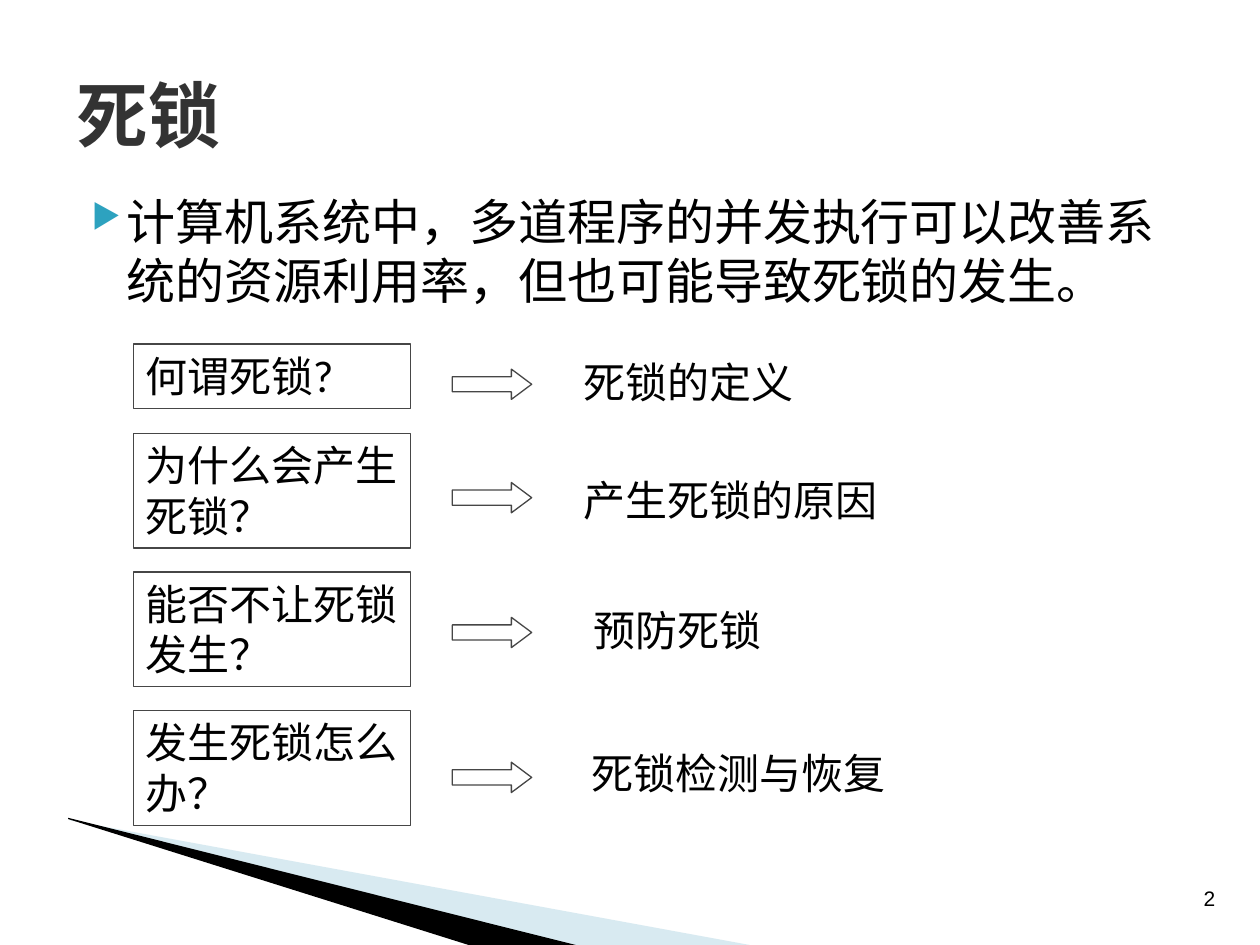
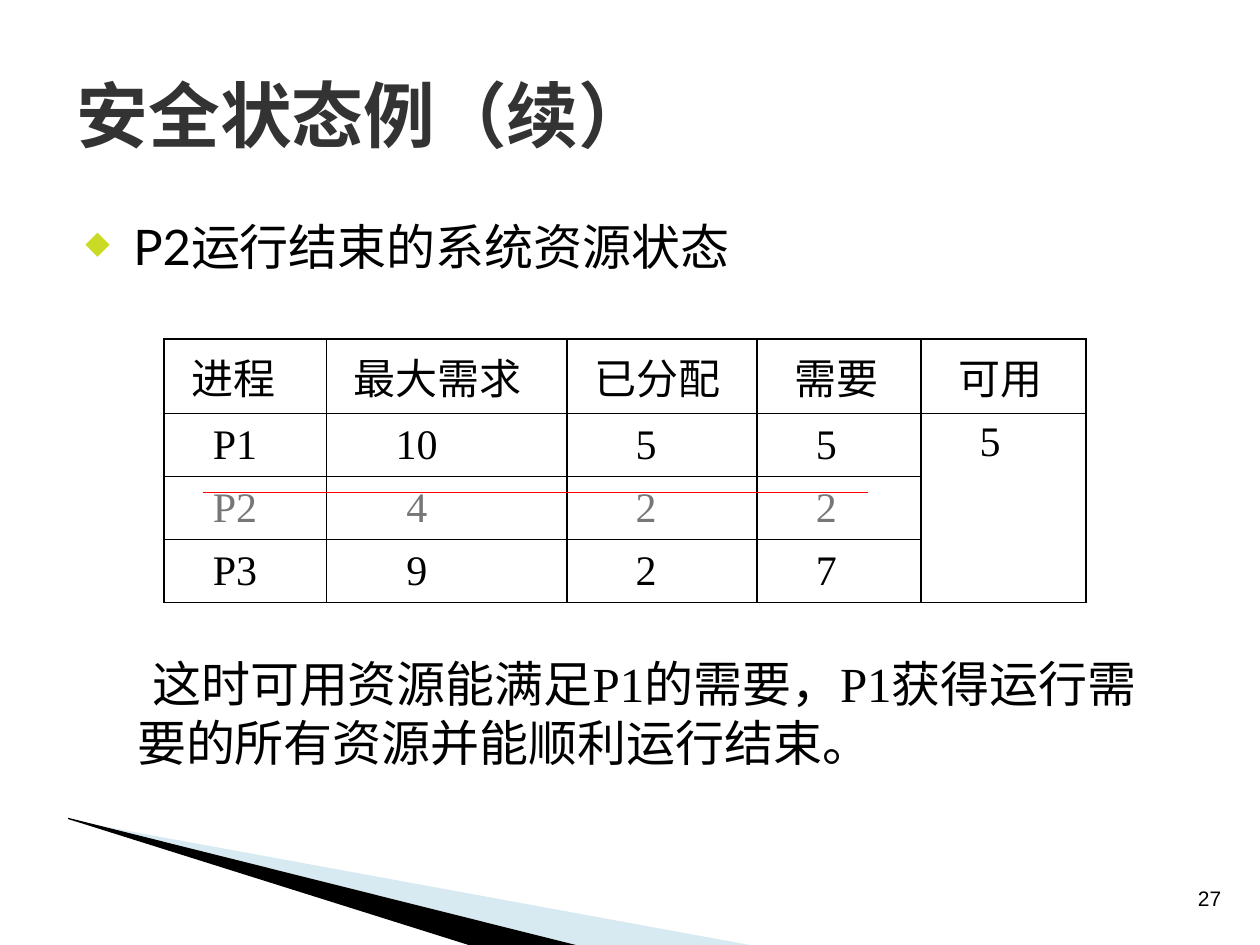
from pptx import Presentation
from pptx import util as u
from pptx.dml.color import RGBColor
from pptx.enum import shapes, text
from pptx.oxml import parse_xml
from pptx.oxml.ns import nsdecls, qn
from lxml import etree

BLACK = RGBColor(0, 0, 0)
DARK = RGBColor(0x33, 0x33, 0x33)
EDGE = RGBColor(0x46, 0x46, 0x46)
GREY = RGBColor(0x77, 0x77, 0x77)
PALE = RGBColor(0x9F, 0xCB, 0xDC)
TEAL = RGBColor(0x2D, 0xA2, 0xBF)
LIME = RGBColor(0xCA, 0xDB, 0x25)
RED = RGBColor(0xFF, 0, 0)
SANS, SERIF, HAN, PLAIN = "Lato", "Times New Roman", "Noto Sans CJK SC", "Arial"

# Points in hundredths of an inch, then colour and opacity in percent
WEDGES = [
    ([(55, 651), (595, 750), (456, 750), (55, 650)], PALE, 40),
    ([(54, 649), (457, 750), (372, 750), (54, 650)], BLACK, 100),
]

INTRO = "计算机系统中，多道程序的并发执行可以改善系统的资源利用率，但也可能导致死锁的发生。"
# Question, box top, box height, arrow top, answer, answer left, answer top
PAIRS = [
    ("何谓死锁?", 2.73, 0.51, 2.93, "死锁的定义", 4.53, 2.78),
    ("为什么会产生死锁？", 3.44, 0.91, 3.83, "产生死锁的原因", 4.53, 3.72),
    ("能否不让死锁发生？", 4.54, 0.91, 4.9, "预防死锁", 4.61, 4.75),
    ("发生死锁怎么办？", 5.64, 0.91, 6.05, "死锁检测与恢复", 4.6, 5.88),
]

STATE = "P2运行结束的系统资源状态"
NOTE = "这时可用资源能满足P1的需要，P1获得运行需要的所有资源并能顺利运行结束。"
GRID = [
    ["进程", "最大需求", "已分配", "需要", "可用"],
    ["P1", "10", "5", "5", "5"],
    ["P2", "4", "2", "2", ""],
    ["P3", "9", "2", "7", ""],
]
WIDTHS = [1.29, 1.91, 1.51, 1.3, 1.31]
HEIGHTS = [0.59, 0.5, 0.5, 0.5]
HEADS = [0.22, 0.22, 0.22, 0.3, 0.3]     # where header text starts in its cell
MIDS = [0.56, 0.72, 0.63, 0.55, 0.55]    # centre of the values in each column
DIGIT = 0.17                             # width of one digit
DONE = 2                                 # row of the finished process


def write(frame, words, size, font=SANS, east=SANS, color=BLACK, bold=False):
    para = frame.paragraphs[0]
    para.alignment = text.PP_ALIGN.LEFT
    run = para.add_run()
    run.text = words
    run.font.size = u.Pt(size)
    run.font.name = font
    run.font.bold = bold
    run.font.color.rgb = color
    face = etree.SubElement(run.font._element, qn("a:ea"))
    face.set("typeface", east)
    return para


def label(slide, box, words, size, **style):
    shape = slide.shapes.add_textbox(*map(u.Inches, box))
    shape.text_frame.word_wrap = True
    return shape.text_frame, write(shape.text_frame, words, size, **style)


def indent(para, left, first, mark=None, color=None, size=100):
    """Set the indents and, with a mark, the bullet."""
    props = para._p.get_or_add_pPr()
    props.set("marL", str(u.Inches(left)))
    props.set("indent", str(u.Inches(first)))
    if mark:
        tint = etree.SubElement(props, qn("a:buClr"))
        etree.SubElement(tint, qn("a:srgbClr")).set("val", str(color))
        etree.SubElement(props, qn("a:buSzPct")).set("val", str(size * 1000))
        etree.SubElement(props, qn("a:buChar")).set("char", mark)


def start(deck, title, page):
    """Add a slide with its wedges, page number and title."""
    slide = deck.slides.add_slide(deck.slide_layouts[6])
    for (first, *rest), color, alpha in WEDGES:
        path = slide.shapes.build_freeform(*first, scale=u.Inches(0.01))
        path.add_line_segments(rest)
        wedge = path.convert_to_shape()
        wedge.shadow.inherit = False
        wedge.line.fill.background()
        wedge.fill.solid()
        wedge.fill.fore_color.rgb = color
        if alpha < 100:
            tint = wedge._element.spPr.find(".//" + qn("a:srgbClr"))
            etree.SubElement(tint, qn("a:alpha")).set("val", str(alpha * 1000))
    frame, para = label(slide, (9.4, 6.98, 0.4, 0.3), page, 12, font=PLAIN)
    frame.margin_left = frame.margin_right = 0
    frame.vertical_anchor = text.MSO_ANCHOR.MIDDLE
    para.alignment = text.PP_ALIGN.CENTER
    frame, _ = label(slide, (0.51, 0.28, 9, 1.25), title, 41,
                     font=HAN, east=HAN, color=DARK, bold=True)
    frame.vertical_anchor = text.MSO_ANCHOR.MIDDLE
    return slide


def outline(slide, kind, box):
    shape = slide.shapes.add_shape(kind, *map(u.Inches, box))
    shape.shadow.inherit = False
    shape.fill.background()
    shape.line.color.rgb = EDGE
    shape.line.width = u.Pt(0.75)
    return shape


def border(cell):
    props = cell._tc.get_or_add_tcPr()
    for i, side in enumerate(("lnL", "lnR", "lnT", "lnB")):
        props.insert(i, parse_xml(
            f'<a:{side} {nsdecls("a")} w="12700"><a:solidFill>'
            f'<a:srgbClr val="{BLACK}"/></a:solidFill></a:{side}>'))


def ask(deck):
    slide = start(deck, "死锁", "2")
    _, para = label(slide, (0.51, 1.47, 9, 1.26), INTRO, 28, font=SERIF)
    indent(para, 0.4, -0.28, "▶", TEAL, 68)
    for query, top, high, mid, reply, left, level in PAIRS:
        box = outline(slide, shapes.MSO_SHAPE.RECTANGLE, (1.06, top, 2.2, high))
        frame = box.text_frame
        frame.word_wrap = True
        frame.margin_right = u.Inches(0.05)
        frame.vertical_anchor = text.MSO_ANCHOR.TOP
        write(frame, query, 24)
        arrow = outline(slide, shapes.MSO_SHAPE.RIGHT_ARROW, (3.59, mid, 0.63, 0.24))
        arrow.adjustments[1] = 0.67
        label(slide, (left, level, 3, 0.5), reply, 24)


def show(deck):
    slide = start(deck, "安全状态例（续）", "27")
    _, para = label(slide, (0.99, 5.14, 8.45, 1.35), NOTE, 28, font=SERIF)
    indent(para, 0, 0.12)
    _, para = label(slide, (0.58, 1.67, 8.5, 0.63), STATE, 28)
    indent(para, 0.38, -0.38, "◆", LIME, 65)

    size = map(u.Inches, (1.3, 2.69, sum(WIDTHS), sum(HEIGHTS)))
    table = slide.shapes.add_table(len(GRID), len(WIDTHS), *size).table
    table.first_row = table.horz_banding = False
    for col, wide in zip(table.columns, WIDTHS):
        col.width = u.Inches(wide)
    for row, high in zip(table.rows, HEIGHTS):
        row.height = u.Inches(high)
    table.cell(1, 4).merge(table.cell(3, 4))
    for r, row in enumerate(GRID):
        for c, words in enumerate(row):
            cell = table.cell(r, c)
            cell.fill.background()
            border(cell)
            if not words:
                continue
            left = MIDS[c] - DIGIT * len(words) / 2 if r else HEADS[c]
            cell.margin_left = u.Inches(left)
            cell.margin_right = 0
            if not cell.is_merge_origin:
                cell.vertical_anchor = text.MSO_ANCHOR.MIDDLE
            write(cell.text_frame, words, 24, font=SERIF, east=HAN,
                  color=GREY if r == DONE else BLACK)

    strike = slide.shapes.add_connector(
        shapes.MSO_CONNECTOR.STRAIGHT, *map(u.Inches, (1.61, 3.91, 6.89, 3.91)))
    strike.line.color.rgb = RED
    strike.line.width = u.Pt(0.75)
    etree.SubElement(strike._element.spPr, qn("a:effectLst"))


def main():
    deck = Presentation()
    deck.slide_width, deck.slide_height = u.Inches(10), u.Inches(7.5)
    ask(deck)
    show(deck)
    deck.save("out.pptx")


if __name__ == "__main__":
    main()
